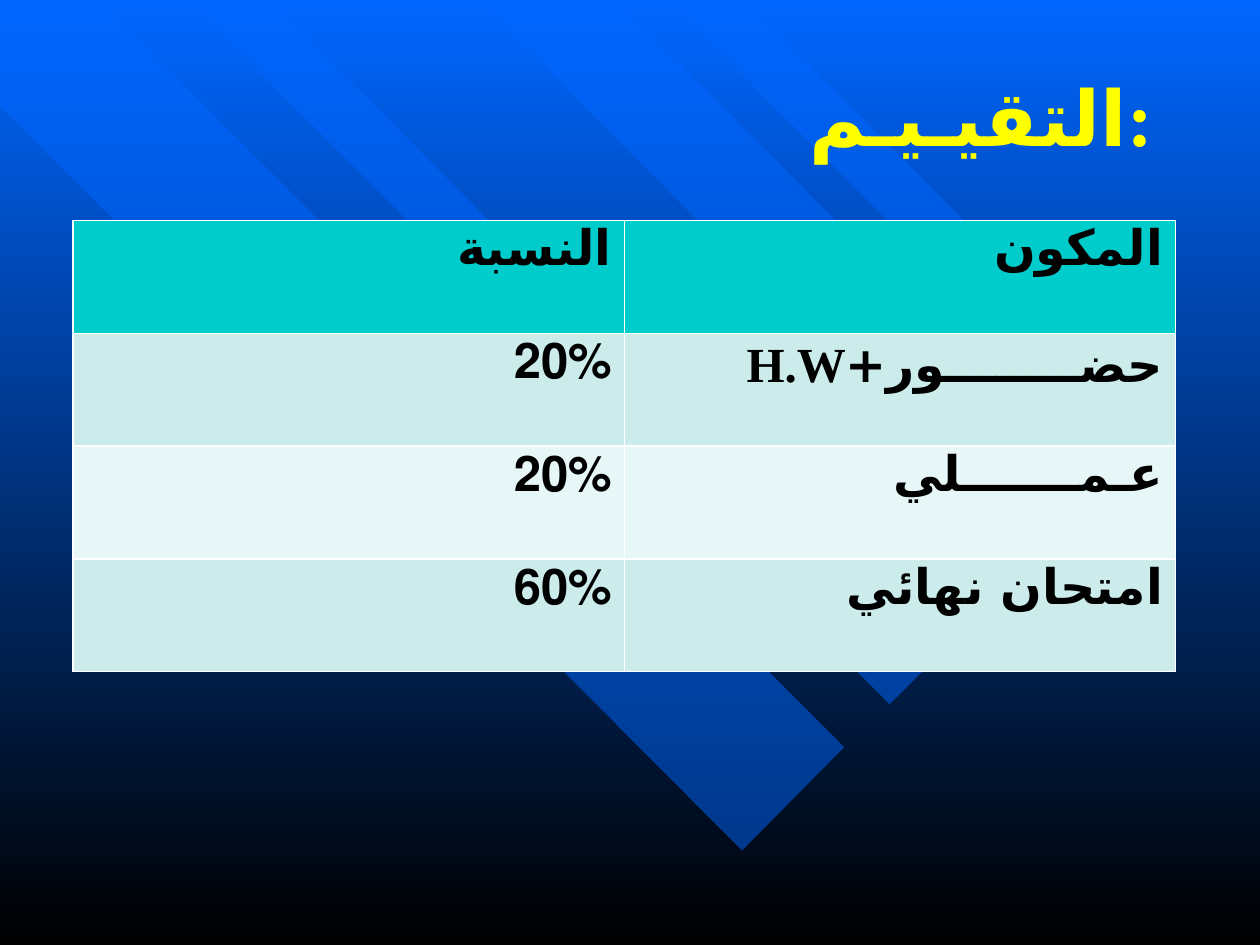
from lxml import etree
from pptx import Presentation
from pptx import util as u
from pptx.dml.color import RGBColor
from pptx.enum import text
from pptx.oxml import ns

FONT = "Times New Roman"
ARAB = "DejaVu Sans"
DIGIT = "FreeSans"
TITLE = "التقيـيـم:"
ROWS = [
    [("النسبة", ARAB, 0), ("المكون", ARAB, 0)],
    [("20%", DIGIT, 0.05), ("حضــــــــور+H.W", ARAB, 0.03)],
    [("20%", DIGIT, 0.05), ("عـمـــــــلي", ARAB, 0)],
    [("60%", DIGIT, 0.05), ("امتحان نهائي", ARAB, 0)],
]
FILLS = ["00CCCC", "CCECEC", "E7F6F6", "CCECEC"]
BANDS = [
    [(6.7, 5.93), (0.79, 0), (0, 0), (0, 0.84), (5.89, 6.75)],
    [(2.14, 0), (7.38, 5.27), (7.06, 5.59), (1.49, 0)],
    [(4.89, 0), (8.76, 3.89), (8.21, 4.44), (3.8, 0)],
    [(5.3, 0), (8.97, 3.68), (9.27, 3.38), (5.91, 0)],
]


def color(code):
    return RGBColor.from_string(code)


def add(node, tag, **attrs):
    return etree.SubElement(node, ns.qn(tag), attrs)


def style(para, size, code, script):
    para.alignment = text.PP_ALIGN.RIGHT
    font = para.font
    font.name, font.size, font.bold = FONT, u.Pt(size), True
    font.color.rgb = color(code)
    props = para.runs[0]._r.get_or_add_rPr()
    props.set("lang", "ar-SA")
    add(props, "a:cs", typeface=script)


def draw_back(slide):
    fill = slide.background.fill
    fill.gradient()
    fill.gradient_angle = 270
    for stop, code in zip(fill.gradient_stops, ("0066FF", "000000")):
        stop.color.rgb = color(code)
    for band in BANDS:
        first, *rest = [(u.Inches(x), u.Inches(y)) for x, y in band]
        form = slide.shapes.build_freeform(*first)
        form.add_line_segments(rest, close=True)
        shape = form.convert_to_shape()
        shape.shadow.inherit = False
        shape.line.fill.background()
        shape.fill.solid()
        shape.fill.fore_color.rgb = color("0066FF")
        tint = shape.fill._xPr.find(".//" + ns.qn("a:srgbClr"))
        add(tint, "a:alpha", val="50000")


def draw_title(slide):
    box = slide.shapes.add_textbox(*map(u.Inches, (0.75, 0.25, 8.5, 1.33)))
    frame = box.text_frame
    frame.word_wrap = True
    frame.vertical_anchor = text.MSO_ANCHOR.MIDDLE
    frame.text = TITLE
    style(frame.paragraphs[0], 44, "FFFF00", ARAB)


def draw_cell(cell, label, script, top, code):
    cell.text = label
    cell.margin_top = u.Inches(top)
    para = cell.text_frame.paragraphs[0]
    style(para, 28, "000000", script)
    para._p.get_or_add_pPr().set("rtl", "1")
    props = cell._tc.get_or_add_tcPr()
    for side in "LRTB":
        line = add(props, "a:ln" + side, w=str(u.Pt(1)))
        add(add(line, "a:solidFill"), "a:srgbClr", val="FFFFFF")
    cell.fill.solid()
    cell.fill.fore_color.rgb = color(code)


def draw_table(slide):
    area = map(u.Inches, (0.58, 1.75, 8.75, 3.58))
    table = slide.shapes.add_table(len(ROWS), len(ROWS[0]), *area).table
    for row, items, code in zip(table.rows, ROWS, FILLS):
        for cell, item in zip(row.cells, items):
            draw_cell(cell, *item, code)


def main():
    deck = Presentation()
    deck.slide_width, deck.slide_height = u.Inches(10), u.Inches(7.5)
    slide = deck.slides.add_slide(deck.slide_layouts[6])
    draw_back(slide)
    draw_title(slide)
    draw_table(slide)
    deck.save("out.pptx")


if __name__ == "__main__":
    main()
